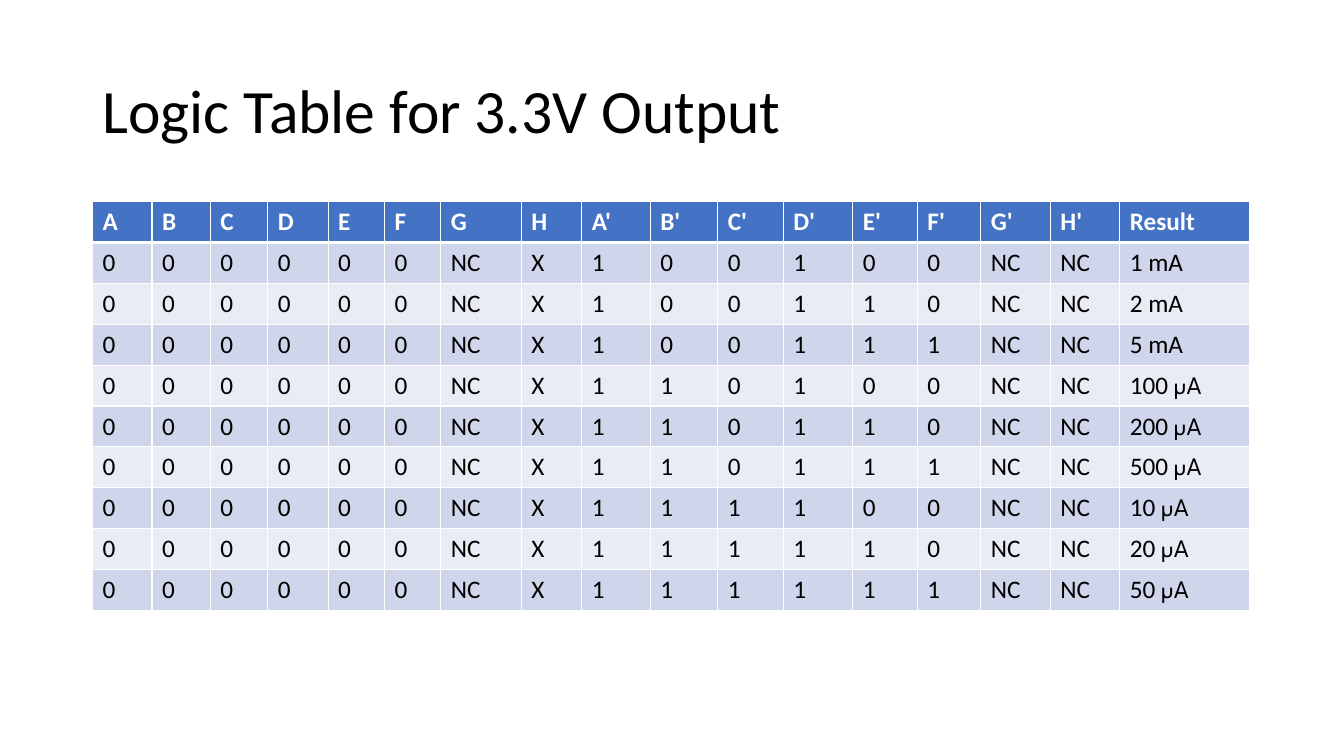
from lxml.etree import SubElement
from pptx import Presentation
from pptx.dml.color import RGBColor
from pptx.enum.text import MSO_ANCHOR, MSO_AUTO_SIZE, PP_ALIGN
from pptx.oxml.ns import qn
from pptx.util import Cm, Pt

BLACK = RGBColor(0x00, 0x00, 0x00)
WHITE = RGBColor(0xFF, 0xFF, 0xFF)
HEADER_BLUE = RGBColor(0x44, 0x72, 0xC4)
BAND_DARK = RGBColor(0xCF, 0xD5, 0xEA)
BAND_LIGHT = RGBColor(0xE9, 0xEB, 0xF5)

FONT = "Calibri"
MICRO_FONT = "League Spartan"

LEFT, WIDTH = Cm(2.33), Cm(29.21)
ROW_HEIGHT = Cm(1.03)
COLUMN_WIDTHS = [1.5, 1.47, 1.45, 1.52, 1.42, 1.42, 2.03, 1.52, 1.73,
                 1.7, 1.65, 1.75, 1.63, 1.6, 1.75, 1.75, 3.28]
HEADERS = [*"ABCDEFGH", *(f"{letter}'" for letter in "ABCDEFGH"), "Result"]

# Each range sets B' and C'; each step sets E' and F'
RANGES = [("00", "", "mA"), ("10", "00", "µA"), ("11", "0", "µA")]
STEPS = [("1", "00"), ("2", "10"), ("5", "11")]


def logic_rows():
    """Return the input states and resulting current of every row."""
    return [
        [*"000000", "NC", "X", "1", *range_bits, "1", *step_bits,
         "NC", "NC", f"{digit}{zeros} {unit}"]
        for range_bits, zeros, unit in RANGES
        for digit, step_bits in STEPS
    ]


def style_paragraph(para, size, color, bold=False):
    para.alignment = PP_ALIGN.LEFT
    para.font.name = FONT
    para.font.size = Pt(size)
    para.font.bold = bold
    para.font.color.rgb = color


def add_title(page, text):
    title = page.shapes.title
    title.left, title.top, title.width, title.height = LEFT, Cm(1.01), WIDTH, Cm(3.68)
    frame = title.text_frame
    frame.text = text
    frame.word_wrap = True
    frame.auto_size = MSO_AUTO_SIZE.NONE
    frame.vertical_anchor = MSO_ANCHOR.MIDDLE
    para = frame.paragraphs[0]
    style_paragraph(para, 44, BLACK)
    para.line_spacing = 0.9


def set_borders(cell, top, bottom):
    """Draw white borders; top and bottom widths are in points."""
    properties = cell._tc.get_or_add_tcPr()
    for side, width in (("L", 1), ("R", 1), ("T", top), ("B", bottom)):
        line = SubElement(properties, qn(f"a:ln{side}"), w=str(Pt(width)))
        fill = SubElement(line, qn("a:solidFill"))
        SubElement(fill, qn("a:srgbClr"), val=str(WHITE))


def fill_cell(cell, text, row):
    # Borders and fill: a thick rule separates the header from the bands
    set_borders(cell, top=3 if row == 1 else 1, bottom=3 if row == 0 else 1)
    cell.fill.solid()
    if row == 0:
        cell.fill.fore_color.rgb = HEADER_BLUE
    else:
        cell.fill.fore_color.rgb = BAND_DARK if row % 2 else BAND_LIGHT

    # Text: the micro unit has its own font
    para = cell.text_frame.paragraphs[0]
    style_paragraph(para, 18, BLACK if row else WHITE, bold=row == 0)
    number, micro, _ = text.partition("µA")
    para.add_run().text = number
    if micro:
        span = para.add_run()
        span.text = micro
        span.font.name = MICRO_FONT


def add_logic_table(page):
    rows = [HEADERS, *logic_rows()]
    table = page.shapes.add_table(len(rows), len(HEADERS), LEFT, Cm(5.08),
                                  WIDTH, ROW_HEIGHT * len(rows)).table
    for column, width in zip(table.columns, COLUMN_WIDTHS):
        column.width = Cm(width)
    for row, texts in enumerate(rows):
        table.rows[row].height = ROW_HEIGHT
        for column, text in enumerate(texts):
            fill_cell(table.cell(row, column), text, row)


def main():
    deck = Presentation()
    deck.slide_width, deck.slide_height = Cm(33.87), Cm(19.05)
    page = deck.slides.add_slide(deck.slide_layouts.get_by_name("Title Only"))
    add_title(page, "Logic Table for 3.3V Output")
    add_logic_table(page)
    deck.save("out.pptx")


if __name__ == "__main__":
    main()
